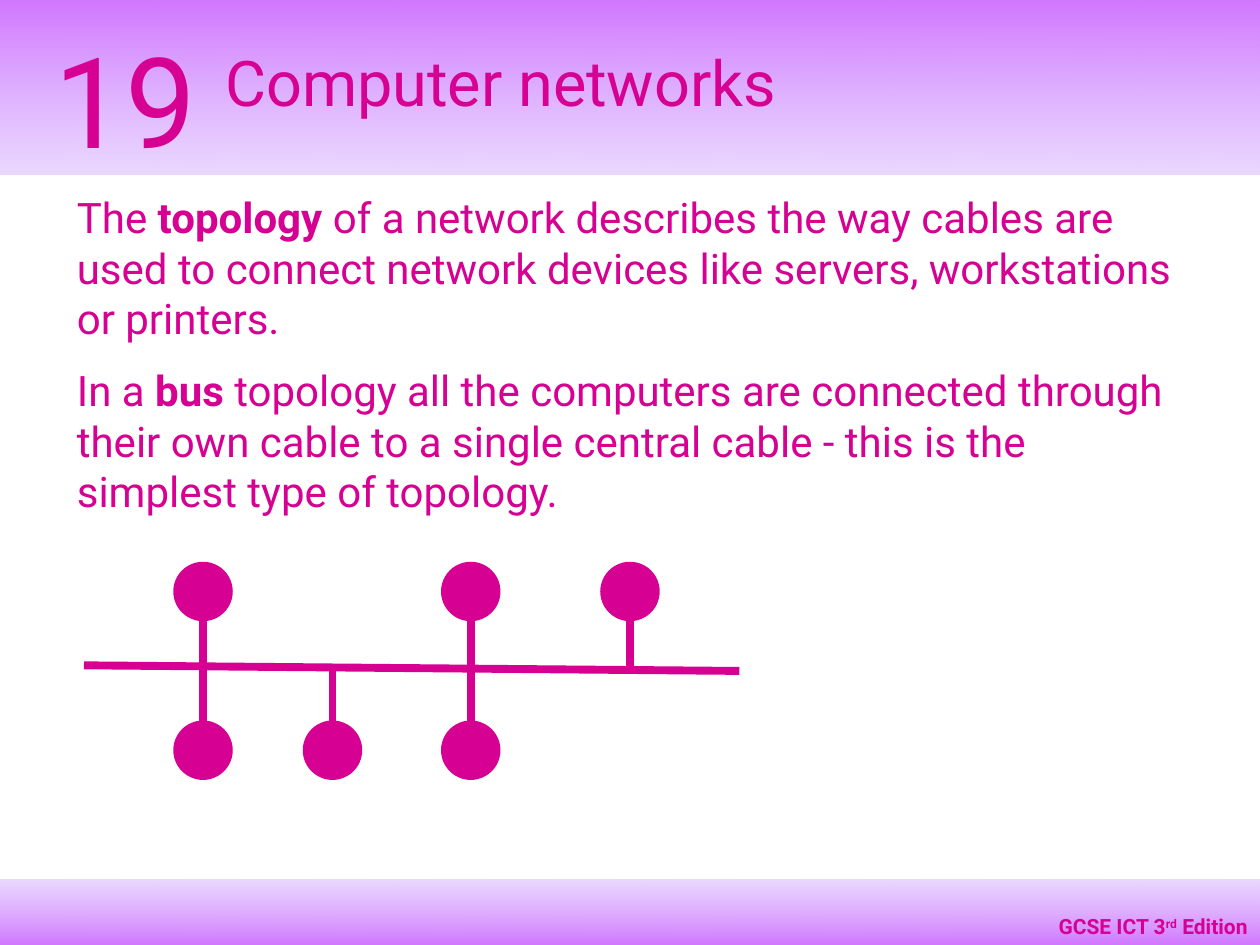
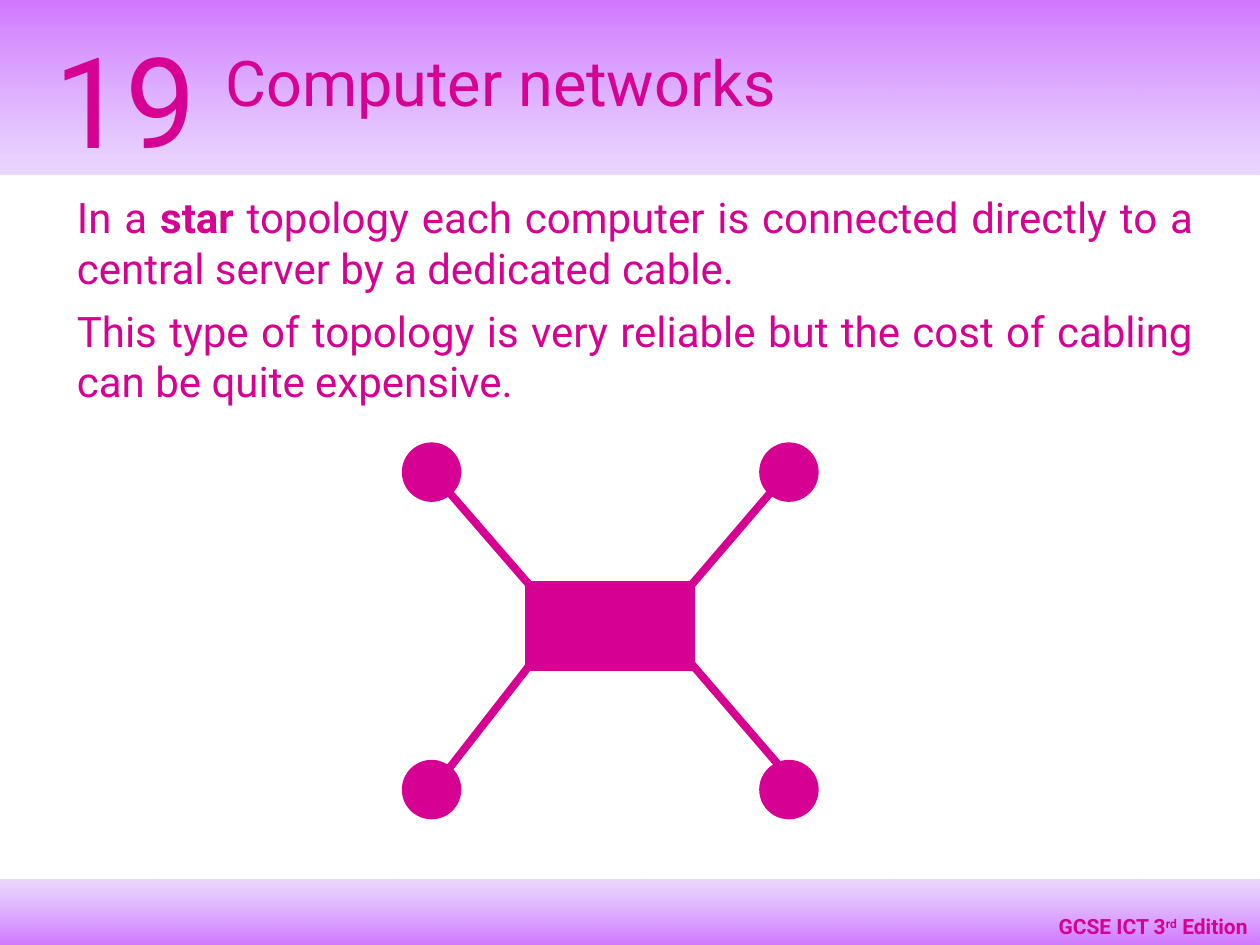
from dataclasses import dataclass
from typing import NamedTuple, Optional

from pptx import Presentation
from pptx.dml.color import RGBColor
from pptx.enum import shapes, text
from pptx.oxml.ns import qn
from pptx.util import Pt

MAGENTA = RGBColor(0xD6, 0x00, 0x93)
VIOLET = RGBColor(0xCC, 0x66, 0xFF)
LAVENDER = RGBColor(0xCC, 0x99, 0xFF)
FONT = "Roboto"
LEFT, RIGHT = text.PP_ALIGN.LEFT, text.PP_ALIGN.RIGHT
JUSTIFY = text.PP_ALIGN.JUSTIFY

SLIDE_WIDTH, SLIDE_HEIGHT = 720, 540
NODE_SIZE = 34
CABLE_WIDTH = 4.5


class Box(NamedTuple):
    left: float
    top: float
    width: float
    height: float

    def lengths(self) -> list:
        return [Pt(value) for value in self]


class Span(NamedTuple):
    text: str
    bold: bool = False
    raised: bool = False


class GradientStop(NamedTuple):
    color: RGBColor
    opacity: int  # percent


class Point(NamedTuple):
    x: float
    y: float


class Cable(NamedTuple):
    start: Point
    end: Point


@dataclass(frozen=True)
class Band:
    box: Box
    stops: tuple[GradientStop, GradientStop]


@dataclass(frozen=True)
class BusDrop:
    """A cable crossing or leaving the bus, with a node at each given end."""
    x: float
    above: bool
    below: bool


STRONG = GradientStop(VIOLET, 89)
PALE = GradientStop(LAVENDER, 39)
BANDS = (
    Band(Box(0, 0, SLIDE_WIDTH, 100), (STRONG, PALE)),
    Band(Box(0, 502.5, SLIDE_WIDTH, 37.5), (PALE, STRONG)),
)
TITLE_BOX = Box(121.5, 21, 546, 50.5)
NUMBER_BOX = Box(24, 9.5, 103.5, 93.5)
FOOTER_BOX = Box(575, 518.5, 145, 21.5)

BUS = Cable(Point(48, 380.2), Point(422.5, 383.4))
BUS_MIDDLE = 382
UPPER_Y, LOWER_Y = 338, 428.7
BUS_DROPS = (
    BusDrop(116, above=True, below=True),
    BusDrop(190, above=False, below=True),
    BusDrop(269, above=True, below=True),
    BusDrop(360, above=True, below=False),
)

SERVER_BOX = Box(300.25, 332.5, 96.5, 50.75)
STAR_COLUMNS, STAR_ROWS = (246.6, 450.8), (269.8, 451.2)
STAR_CABLES = (
    Cable(Point(394, 378), Point(462, 457)),
    Cable(Point(252, 276), Point(320.5, 355)),
    Cable(Point(247, 451.5), Point(309, 372)),
    Cable(Point(382.5, 349), Point(445, 276)),
)


def write_text(frame, paragraphs: list[list[Span]], *, size: float,
               align=LEFT, space_after: float = 0) -> None:
    frame.word_wrap = True
    frame.auto_size = text.MSO_AUTO_SIZE.NONE
    frame.vertical_anchor = text.MSO_ANCHOR.TOP
    for index, spans in enumerate(paragraphs):
        paragraph = frame.add_paragraph() if index else frame.paragraphs[0]
        paragraph.alignment = align
        paragraph.space_before = Pt(0)
        paragraph.space_after = Pt(space_after)
        for span in spans:
            run = paragraph.add_run()
            run.text = span.text
            run.font.name = FONT
            run.font.size = Pt(size)
            run.font.bold = span.bold
            run.font.color.rgb = MAGENTA
            if span.raised:
                run.font._element.set("baseline", "30000")


def place(shape, box: Box) -> None:
    shape.left, shape.top, shape.width, shape.height = box.lengths()


def remove_bullets(frame) -> None:
    for paragraph in frame.paragraphs:
        properties = paragraph._p.get_or_add_pPr()
        properties.set("marL", "0")
        properties.set("indent", "0")
        properties.append(properties.makeelement(qn("a:buNone"), {}))


def add_plain_shape(slide, kind, box: Box):
    shape = slide.shapes.add_shape(kind, *box.lengths())
    shape.shadow.inherit = False
    shape.line.fill.background()
    shape.fill.solid()
    shape.fill.fore_color.rgb = MAGENTA
    return shape


def add_band(slide, band: Band) -> None:
    """Draw a vertical gradient band behind the title."""
    shape = add_plain_shape(slide, shapes.MSO_SHAPE.RECTANGLE, band.box)
    shape.fill.gradient()
    shape.fill.gradient_angle = 270
    for gradient_stop, stop in zip(shape.fill.gradient_stops, band.stops):
        gradient_stop.color.rgb = stop.color
    for color, stop in zip(shape.element.iter(qn("a:srgbClr")), band.stops):
        alpha = color.makeelement(qn("a:alpha"), {"val": str(stop.opacity * 1000)})
        color.append(alpha)
    slide.shapes.title.element.addprevious(shape.element)


def add_node(slide, center: Point) -> None:
    box = Box(center.x - NODE_SIZE / 2, center.y - NODE_SIZE / 2, NODE_SIZE, NODE_SIZE)
    add_plain_shape(slide, shapes.MSO_SHAPE.OVAL, box)


def add_cable(slide, cable: Cable) -> None:
    connector = slide.shapes.add_connector(
        shapes.MSO_CONNECTOR.STRAIGHT,
        *[Pt(value) for value in (*cable.start, *cable.end)])
    connector.line.color.rgb = MAGENTA
    connector.line.width = Pt(CABLE_WIDTH)
    properties = connector.element.spPr
    properties.append(properties.makeelement(qn("a:effectLst"), {}))


def add_text_box(slide, box: Box, spans: list[Span], **text_format) -> None:
    shape = slide.shapes.add_textbox(*box.lengths())
    write_text(shape.text_frame, [spans], **text_format)


def add_topic_slide(presentation, body_box: Box, paragraphs: list[list[Span]], *,
                    space_after: float, align: Optional[text.PP_ALIGN] = LEFT):
    """Add a slide with the shared bands, headings and footer, and its body text."""
    slide = presentation.slides.add_slide(presentation.slide_layouts[1])
    for band in BANDS:
        add_band(slide, band)
    title, body = slide.shapes.title, slide.placeholders[1]
    place(title, TITLE_BOX)
    write_text(title.text_frame, [[Span("Computer networks")]], size=36)
    add_text_box(slide, NUMBER_BOX, [Span("19")], size=72)
    add_text_box(slide, FOOTER_BOX,
                 [Span("GCSE ICT 3", bold=True), Span("rd", bold=True, raised=True),
                  Span(" Edition", bold=True)],
                 size=12, align=RIGHT)
    place(body, body_box)
    write_text(body.text_frame, paragraphs, size=24, align=align, space_after=space_after)
    remove_bullets(body.text_frame)
    return slide


def add_bus_slide(presentation) -> None:
    slide = add_topic_slide(presentation, Box(36.75, 106, 652.5, 194.5), [
        [Span("The "), Span("topology", bold=True),
         Span(" of a network describes the way cables are used to connect network "
              "devices like servers, workstations or printers.")],
        [Span("In a "), Span("bus", bold=True),
         Span(" topology all the computers are connected through their own cable to a "
              "single central cable - this is the simplest type of topology.")],
    ], space_after=12.5)
    add_cable(slide, BUS)
    for drop in BUS_DROPS:
        top = Point(drop.x, UPPER_Y if drop.above else BUS_MIDDLE)
        bottom = Point(drop.x, LOWER_Y if drop.below else BUS_MIDDLE)
        add_cable(slide, Cable(top, bottom))
        if drop.above:
            add_node(slide, top)
        if drop.below:
            add_node(slide, bottom)


def add_star_slide(presentation) -> None:
    slide = add_topic_slide(presentation, Box(36.75, 106, 652.5, 131), [
        [Span("In a "), Span("star", bold=True),
         Span(" topology each computer is connected directly to a central server by a "
              "dedicated cable.")],
        [Span("This type of topology is very reliable but the cost of cabling can be "
              "quite expensive.")],
    ], space_after=7.2, align=JUSTIFY)
    for x in STAR_COLUMNS:
        for y in STAR_ROWS:
            add_node(slide, Point(x, y))
    server = add_plain_shape(slide, shapes.MSO_SHAPE.RECTANGLE, SERVER_BOX)
    server.line.color.rgb = MAGENTA
    server.line.width = Pt(0.75)
    for cable in STAR_CABLES:
        add_cable(slide, cable)


def main() -> None:
    presentation = Presentation()
    presentation.slide_width = Pt(SLIDE_WIDTH)
    presentation.slide_height = Pt(SLIDE_HEIGHT)
    add_bus_slide(presentation)
    add_star_slide(presentation)
    presentation.save("out.pptx")


if __name__ == "__main__":
    main()
